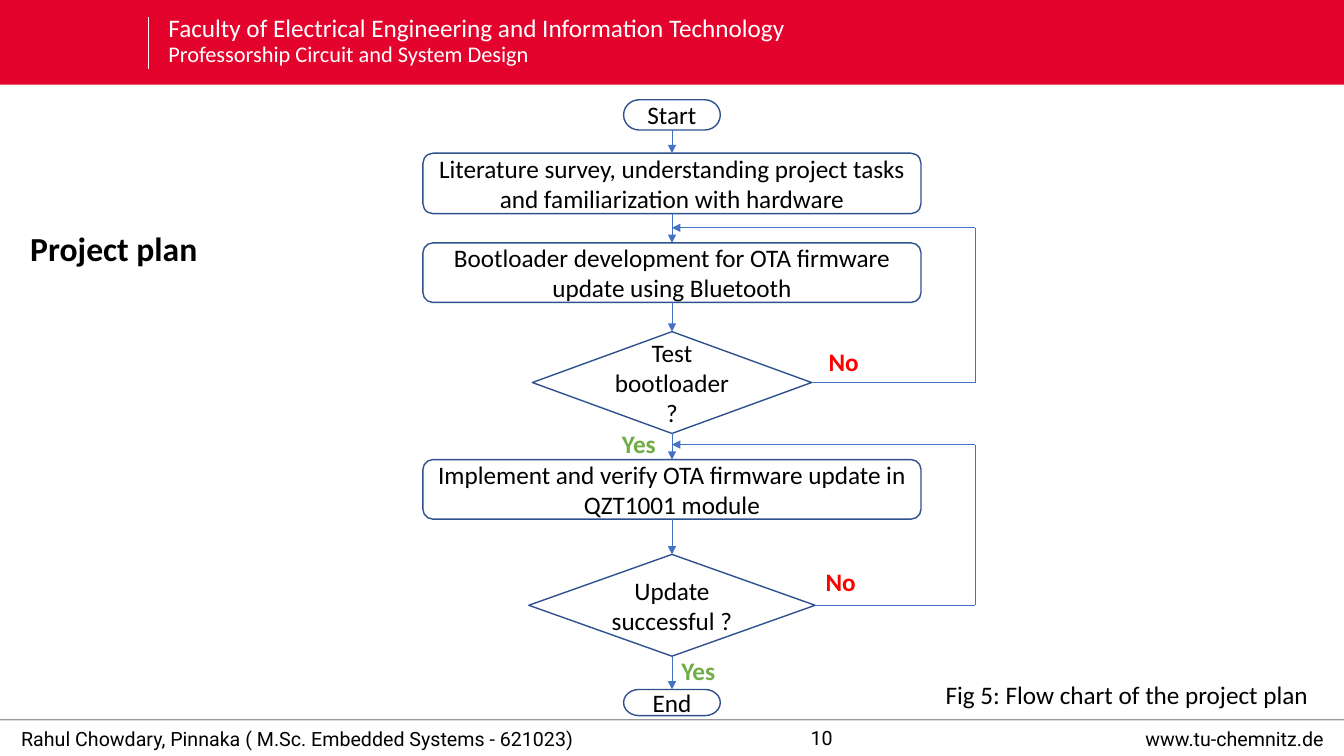
from dataclasses import dataclass
from itertools import pairwise

from lxml.etree import SubElement
from pptx import Presentation
from pptx.dml.color import RGBColor
from pptx.enum.shapes import MSO_CONNECTOR as Wire, MSO_SHAPE as Form
from pptx.enum.text import MSO_ANCHOR as Anchor, PP_ALIGN as Align
from pptx.oxml.ns import qn
from pptx.util import Inches, Pt

# Grid: square cells of a tenth of an inch
WIDE, HIGH = 133.3, 75
AXIS = 66.65   # column the flow runs down
SIDE = 96.7    # column the loops return along
FOOT = 71.4    # row where the footer starts

BLACK, WHITE, RED = "000000", "FFFFFF", "E4032D"
EDGE, ARROW = "2F528F", "4472C4"
YES, NO = "70AD47", "FF0000"


@dataclass
class Step:
    text: str
    form: Form
    top: float
    wide: float
    high: float


@dataclass
class Loop:
    step: int    # index of the decision it leaves
    back: float  # row where it rejoins the flow


@dataclass
class Label:
    text: str
    left: float
    top: float
    wide: float
    high: float
    size: int = 18
    hue: str = BLACK
    face: str = "Calibri"
    bold: bool = False
    align: Align = Align.LEFT
    anchor: Anchor = Anchor.TOP
    inset: bool = True
    wrap: bool = True


PILL, BOX, TEST = Form.FLOWCHART_TERMINATOR, Form.ROUNDED_RECTANGLE, Form.DIAMOND
STEPS = [
    Step("Start", PILL, 9.9, 9.6, 3),
    Step("Literature survey, understanding project tasks and "
         "familiarization with hardware", BOX, 15.2, 49.4, 6),
    Step("Bootloader development for OTA firmware update using Bluetooth",
         BOX, 24.1, 49.4, 5.9),
    Step("Test bootloader ?", TEST, 32.9, 27.7, 10.1),
    Step("Implement and verify OTA firmware update in QZT1001 module",
         BOX, 45.6, 49.4, 5.9),
    Step("Update successful ?", TEST, 55, 28.4, 10.1),
    Step("End", PILL, 68.4, 9.6, 2.6),
]
LOOPS = [Loop(3, 22.6), Loop(5, 44.1)]

FOOTER = dict(size=14, face="Roboto", anchor=Anchor.MIDDLE, inset=False)
LABELS = [
    Label("Project plan", 3, 22.6, 60, 5, size=24, bold=True, inset=False),
    Label("Yes", 60.7, 42, 5.9, 4, hue=YES, bold=True),
    Label("Yes", 66.6, 64.5, 5.9, 4, hue=YES, bold=True),
    Label("No", 81.2, 33.9, 5.9, 4, hue=NO, bold=True),
    Label("No", 80.9, 55.7, 5.9, 4, hue=NO, bold=True),
    Label("Fig 5: Flow chart of the project plan", 92.8, 66.9, 38.4, 4, wrap=False),
    Label("Rahul Chowdary, Pinnaka ( M.Sc. Embedded Systems - 621023)",
          2.1, FOOT, 63, 3.7, **FOOTER),
    Label("10", 50.9, FOOT, 61.2, 3.6, align=Align.CENTER, **FOOTER),
    Label("www.tu-chemnitz.de", 90.3, FOOT, 41, 3.7, align=Align.RIGHT, **FOOTER),
]


def cell(*counts: float) -> list[int]:
    return [Inches(count / 10) for count in counts]


def color(code: str) -> RGBColor:
    return RGBColor.from_string(code)


def style(para, size: int, hue: str, face: str = "Calibri", bold: bool = False) -> None:
    for run in para.runs:
        run.font.size, run.font.name, run.font.bold = Pt(size), face, bold
        run.font.color.rgb = color(hue)


def write(shapes, label: Label):
    box = shapes.add_textbox(*cell(label.left, label.top, label.wide, label.high))
    frame = box.text_frame
    frame.word_wrap, frame.vertical_anchor = label.wrap, label.anchor
    if not label.inset:
        frame.margin_left = frame.margin_right = 0
        frame.margin_top = frame.margin_bottom = 0
    frame.text = label.text
    para = frame.paragraphs[0]
    para.alignment = label.align
    style(para, label.size, label.hue, label.face, label.bold)
    return para


def rule(shapes, ends: tuple, hue: str = ARROW, width: float = 0.5,
         head: bool = False, alpha: int = 100) -> None:
    line = shapes.add_connector(Wire.STRAIGHT, *cell(*ends))
    line.line.color.rgb = color(hue)
    line.line.width = Pt(width)
    props = line._element.spPr
    SubElement(props, qn("a:effectLst"))
    if head:
        SubElement(props.find(qn("a:ln")), qn("a:tailEnd"), type="triangle")
    if alpha < 100:
        tone = next(props.iter(qn("a:srgbClr")))
        SubElement(tone, qn("a:alpha"), val=str(alpha * 1000))


def draw(shapes, step: Step) -> None:
    shape = shapes.add_shape(
        step.form, *cell(AXIS - step.wide / 2, step.top, step.wide, step.high))
    shape.shadow.inherit = False
    shape.fill.background()
    shape.line.color.rgb = color(EDGE)
    shape.line.width = Pt(1)
    frame = shape.text_frame
    frame.word_wrap, frame.vertical_anchor = True, Anchor.MIDDLE
    frame.text = step.text
    frame.paragraphs[0].alignment = Align.CENTER
    style(frame.paragraphs[0], 18, BLACK)


def header(shapes) -> None:
    band = shapes.add_shape(Form.RECTANGLE, *cell(0, 0, WIDE, 8.4))
    band.shadow.inherit = False
    band.fill.solid()
    band.fill.fore_color.rgb = color(RED)
    band.line.fill.background()
    rule(shapes, (14.7, 1.7, 14.7, 6.8), WHITE)
    para = write(shapes, Label(
        "Faculty of Electrical Engineering and Information Technology\v"
        "Professorship Circuit and System Design",
        16.7, 1.6, 114.2, 5.1, hue=WHITE, inset=False))
    para.line_spacing = 0.9
    para.runs[1].font.size = Pt(16)


def flow(shapes) -> None:
    for step in STEPS:
        draw(shapes, step)
    for step, after in pairwise(STEPS):
        rule(shapes, (AXIS, step.top + step.high, AXIS, after.top), head=True)
    # Loops back from the failed tests
    for loop in LOOPS:
        test = STEPS[loop.step]
        mid = test.top + test.high / 2
        rule(shapes, (AXIS + test.wide / 2, mid, SIDE, mid))
        rule(shapes, (SIDE, mid, SIDE, loop.back))
        rule(shapes, (SIDE, loop.back, AXIS, loop.back), head=True)


def main() -> None:
    deck = Presentation()
    deck.slide_width, deck.slide_height = cell(WIDE, HIGH)
    shapes = deck.slides.add_slide(deck.slide_layouts[6]).shapes
    header(shapes)
    rule(shapes, (0, FOOT, WIDE, FOOT), BLACK, 1, alpha=40)
    flow(shapes)
    for label in LABELS:
        write(shapes, label)
    deck.save("out.pptx")


if __name__ == "__main__":
    main()
